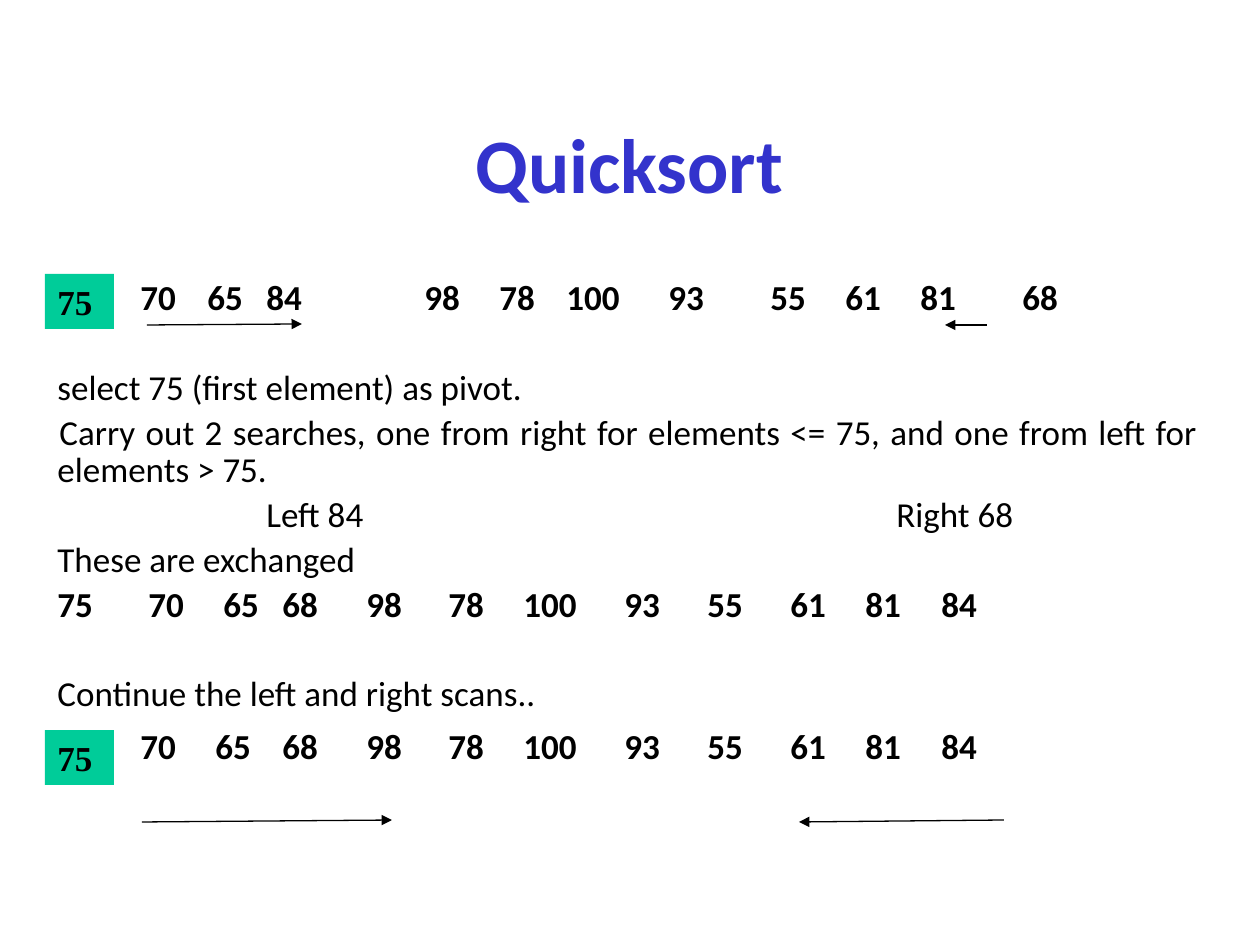
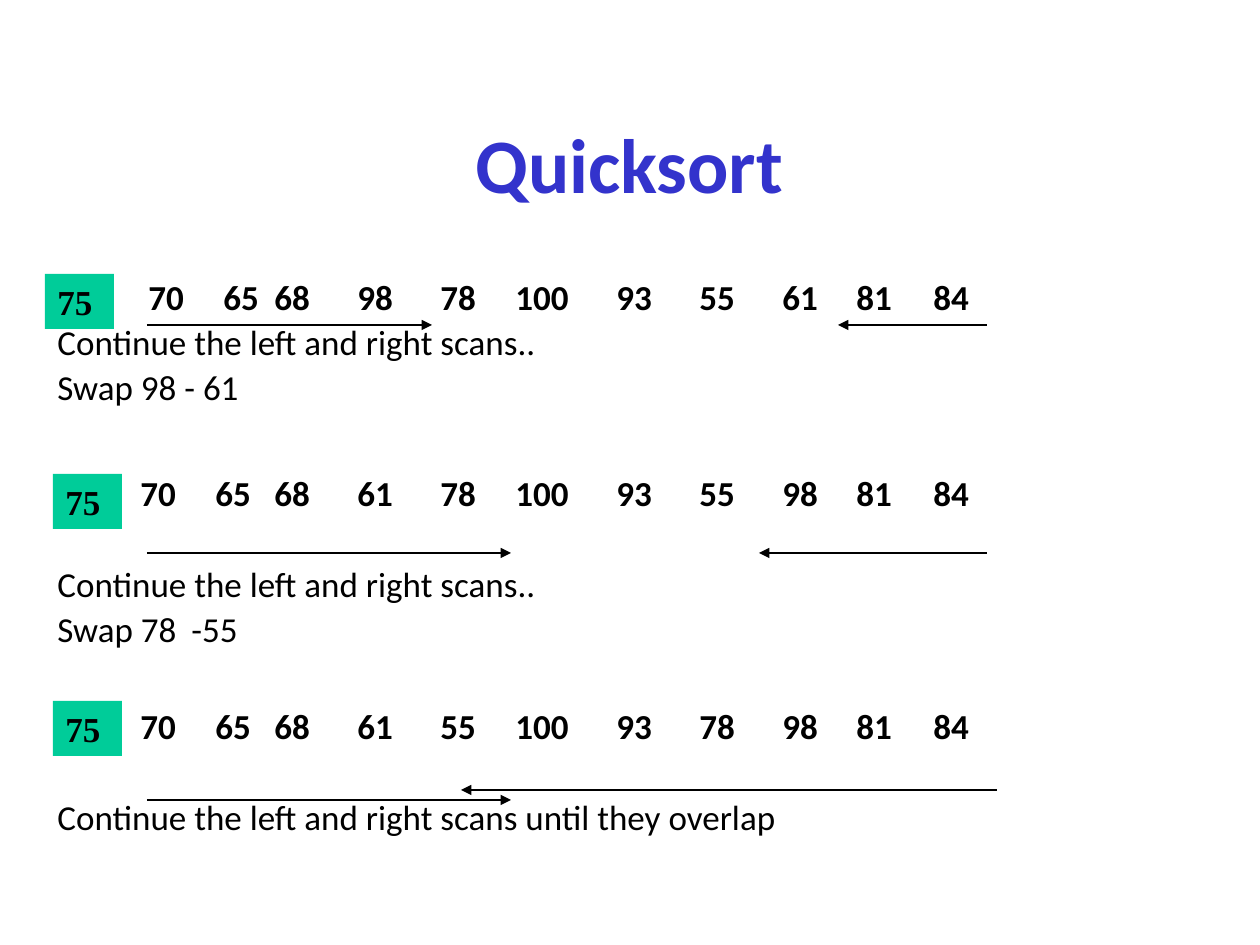
from lxml import etree
from pptx import Presentation
from pptx import util as u
from pptx.dml import color
from pptx.enum import shapes, text
from pptx.oxml import ns

SIZE = (1260, 945)
TITLE_BOX = (94, 84, 1071, 158)
BODY_BOX = (45, 274, 1165, 567)
PIVOT_SIZE = (69, 55)
TEXT_LEFT, LINE_HEIGHT, GAP = 58, 37, 8
BLACK, BLUE, GREEN = "000000", "3333CC", "00CC99"

TITLE_FONT = dict(name="Calibri", size=44, bold=True, color=BLUE)
BODY_FONT = dict(name="Calibri", size=20, bold=False, color=BLACK)
ROW_FONT = dict(BODY_FONT, bold=True)
PIVOT_FONT = dict(ROW_FONT, name="Times New Roman")

FIRST_STOPS = (141, 208, 267, 425, 500, 567, 669, 771, 846, 921, 1023)
SWAPPED_STOPS = (149, 224, 283, 367, 449, 524, 625, 708, 791, 866, 942)
RESUMED_STOPS = (141, 216) + SWAPPED_STOPS[2:]
SCAN_TAIL = (275, 358, 441, 516, 617, 700, 783, 857, 934)
SCAN_STOPS = (149, 224) + SCAN_TAIL
LATER_STOPS = (141, 216) + SCAN_TAIL
CONTINUE = "Continue the left and right scans.."


def row(numbers, stops, gap=GAP, lead=""):
    return dict(text="\t".join([lead] + numbers.split()), stops=stops,
                gap=gap, font=ROW_FONT)


def line(words, gap=GAP, **layout):
    return dict(text=words, gap=gap, **layout)


SLIDES = [
    dict(
        title="Quicksort",
        body=[
            row("70 65 84 98 78 100 93 55 61 81 68", FIRST_STOPS, 0),
            line("select 75 (first element) as pivot.", 53),
            line("Carry out 2 searches, one from right for elements <= 75, "
                 "and one from left for elements > 75.", justify=True, indent=2),
            line("\tLeft 84\tRight 68", stops=(267, 897)),
            line("These are exchanged"),
            row("70 65 68 98 78 100 93 55 61 81 84", SWAPPED_STOPS, lead="75"),
            line(CONTINUE, 52),
            row("70 65 68 98 78 100 93 55 61 81 84", RESUMED_STOPS, 16),
        ],
        pivots=[(45, 274), (45, 730)],
        scans=[(147, 325, 302, 324), (987, 325, 945, 325),
               (142, 822, 392, 820), (1004, 820, 799, 822)],
    ),
    dict(
        title="Quicksort",
        body=[
            row("70 65 68 98 78 100 93 55 61 81 84", SCAN_STOPS, 0),
            line(CONTINUE),
            line("Swap 98 - 61"),
            row("70 65 68 61 78 100 93 55 98 81 84", LATER_STOPS, 69),
            line(CONTINUE, 54),
            line("Swap 78\t-55", stops=(192,)),
            row("70 65 68 61 55 100 93 78 98 81 84", LATER_STOPS, 60),
            line("Continue the left and right scans until they overlap", 54),
        ],
        pivots=[(45, 274), (53, 474), (53, 701)],
        scans=[(147, 325, 432, 325), (987, 325, 838, 325),
               (147, 553, 511, 553), (987, 553, 759, 553),
               (147, 800, 511, 800), (997, 790, 461, 790)],
    ),
]


def px(n):
    return u.Emu(round(n * 914400 / 126))


def box(values):
    return [px(v) for v in values]


def rgb(value):
    return color.RGBColor.from_string(value)


def write(p, words, font):
    r = p.add_run()
    r.text = words
    formats = dict(font, size=u.Pt(font["size"]))
    r.font.color.rgb = rgb(formats.pop("color"))
    for key, value in formats.items():
        setattr(r.font, key, value)


def add_title(s, words):
    tf = s.shapes.add_textbox(*box(TITLE_BOX)).text_frame
    tf.word_wrap = True
    tf.vertical_anchor = text.MSO_ANCHOR.MIDDLE
    p = tf.paragraphs[0]
    p.alignment = text.PP_ALIGN.CENTER
    write(p, words, TITLE_FONT)


def add_body(s, items):
    tf = s.shapes.add_textbox(*box(BODY_BOX)).text_frame
    tf.word_wrap = True
    for i, item in enumerate(items):
        p = tf.add_paragraph() if i else tf.paragraphs[0]
        layout = dict(
            line_spacing=px(LINE_HEIGHT),
            space_before=px(item["gap"]),
            alignment=text.PP_ALIGN.JUSTIFY if item.get("justify") else text.PP_ALIGN.LEFT,
        )
        for key, value in layout.items():
            setattr(p, key, value)
        props = p._p.get_or_add_pPr()
        if "indent" in item:
            props.set("indent", str(px(item["indent"])))
        if "stops" in item:
            tabs = etree.SubElement(props, ns.qn("a:tabLst"))
            for x in item["stops"]:
                etree.SubElement(tabs, ns.qn("a:tab"), pos=str(px(x - TEXT_LEFT)), algn="l")
        write(p, item["text"], item.get("font", BODY_FONT))


def add_scan(s, ends):
    arrow = s.shapes.add_connector(shapes.MSO_CONNECTOR.STRAIGHT, *box(ends))
    arrow.line.color.rgb = rgb(BLACK)
    arrow.line.width = u.Pt(0.75)
    etree.SubElement(arrow.line._get_or_add_ln(), ns.qn("a:tailEnd"), type="triangle")
    etree.SubElement(arrow._element.spPr, ns.qn("a:effectLst"))


def add_pivot(s, corner):
    sp = s.shapes.add_shape(shapes.MSO_SHAPE.RECTANGLE, *box(corner + PIVOT_SIZE))
    sp.shadow.inherit = False
    sp.fill.solid()
    sp.fill.fore_color.rgb = rgb(GREEN)
    sp.line.fill.background()
    tf = sp.text_frame
    tf.vertical_anchor = text.MSO_ANCHOR.TOP
    p = tf.paragraphs[0]
    p.alignment = text.PP_ALIGN.LEFT
    write(p, "75", PIVOT_FONT)


def main():
    prs = Presentation()
    prs.slide_width, prs.slide_height = box(SIZE)
    for content in SLIDES:
        s = prs.slides.add_slide(prs.slide_layouts[6])
        add_title(s, content["title"])
        add_body(s, content["body"])
        for ends in content["scans"]:
            add_scan(s, ends)
        for corner in content["pivots"]:
            add_pivot(s, corner)
    prs.save("out.pptx")


if __name__ == "__main__":
    main()
